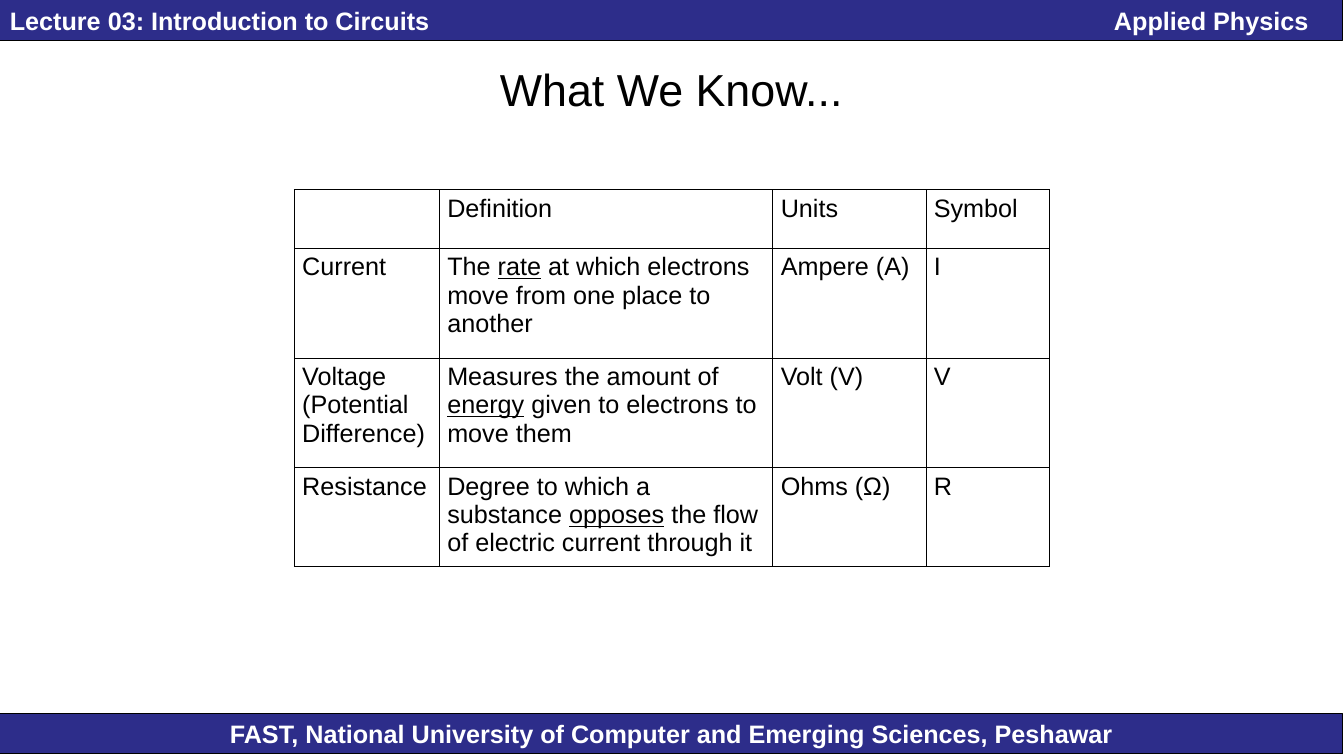
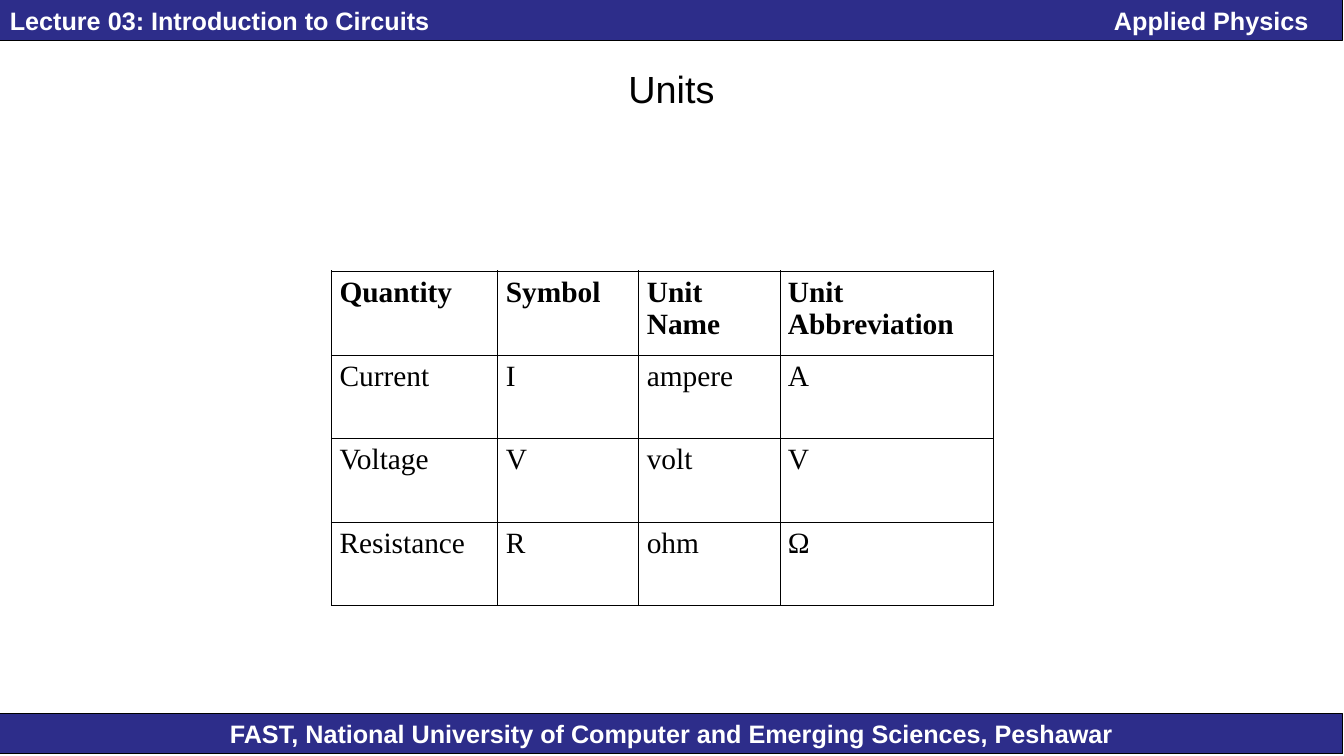
from lxml import etree
from pptx import Presentation
from pptx.dml.color import RGBColor
from pptx.enum import shapes, text
from pptx.oxml import ns
from pptx.util import Inches, Pt

COLORS = {"band": "2D2D8A", "ink": "000000", "paper": "FFFFFF"}
BAND_WIDTH, BAND_HEIGHT = 13.33, 0.4
THIN, THICK = 0.45, 1.08


def add_run(paragraph, words, font_name, size, color, bold=False, underline=False):
    run = paragraph.add_run()
    run.text = words
    run.font.name = font_name
    run.font.size = Pt(size)
    run.font.bold = bold
    run.font.underline = underline
    run.font.color.rgb = RGBColor.from_string(COLORS[color])


def add_border(cell, side, width):
    properties = cell._tc.get_or_add_tcPr()
    line = etree.SubElement(properties, ns.qn(f"a:ln{side}"), w=str(Pt(width)))
    fill = etree.SubElement(line, ns.qn("a:solidFill"))
    etree.SubElement(fill, ns.qn("a:srgbClr"), val=COLORS["ink"])


# Text between underscores is underlined
slide_contents = [
    {
        "title": "What We Know...", "title_size": 32,
        "left": 2.92, "top": 1.88,
        "columns": [1.44, 3.31, 1.52, 1.23], "rows": [0.58, 1.09, 1.09, 0.98],
        "font": "Arial", "size": 18, "bold_header": False, "outline": THIN,
        "cells": [
            ["", "Definition", "Units", "Symbol"],
            ["Current", "The _rate_ at which electrons move from one place to another",
             "Ampere (A)", "I"],
            ["Voltage (Potential Difference)",
             "Measures the amount of _energy_ given to electrons to move them",
             "Volt (V)", "V"],
            ["Resistance",
             "Degree to which a substance _opposes_ the flow of electric current through it",
             "Ohms (Ω)", "R"],
        ],
    },
    {
        "title": "Units", "title_size": 27,
        "left": 3.29, "top": 2.69,
        "columns": [1.65, 1.4, 1.4, 2.12], "rows": [0.83] * 4,
        "font": "Times New Roman", "size": 21, "bold_header": True, "outline": THICK,
        "cells": [
            ["Quantity", "Symbol", "Unit Name", "Unit Abbreviation"],
            ["Current", "I", "ampere", "A"],
            ["Voltage", "V", "volt", "V"],
            ["Resistance", "R", "ohm", "Ω"],
        ],
    },
]

presentation = Presentation()
presentation.slide_width = Inches(13.34)
presentation.slide_height = Inches(7.5)
layout = presentation.slide_layouts.get_by_name("Title Only")

# Shared title position
layout_title = layout.placeholders[0]
layout_title.left, layout_title.top = Inches(0), Inches(0.42)
layout_title.width, layout_title.height = Inches(BAND_WIDTH), Inches(0.92)

slides = [presentation.slides.add_slide(layout) for content in slide_contents]

# Shared bands, drawn on the first slide and moved to the layout
bands = [
    (7.08, text.PP_ALIGN.CENTER,
     ["FAST, National University of Computer and Emerging Sciences, Peshawar"]),
    (0, text.PP_ALIGN.LEFT,
     ["Lecture 03: Introduction to Circuits", "\tApplied Physics"]),
]
for top, alignment, labels in bands:
    band = slides[0].shapes.add_shape(
        shapes.MSO_SHAPE.RECTANGLE, Inches(0), Inches(top),
        Inches(BAND_WIDTH), Inches(BAND_HEIGHT))
    band.shadow.inherit = False
    band.fill.solid()
    band.fill.fore_color.rgb = RGBColor.from_string(COLORS["band"])
    band.line.color.rgb = RGBColor.from_string(COLORS["ink"])
    band.line.width = Pt(0.75)
    band.text_frame.vertical_anchor = text.MSO_ANCHOR.MIDDLE
    paragraph = band.text_frame.paragraphs[0]
    paragraph.alignment = alignment
    if len(labels) > 1:
        tabs = etree.SubElement(paragraph._p.get_or_add_pPr(), ns.qn("a:tabLst"))
        etree.SubElement(tabs, ns.qn("a:tab"), pos=str(Inches(12.89)), algn="r")
    for label in labels:
        add_run(paragraph, label, "Arial", 18, "paper", bold=True)
    layout.shapes._spTree.insert(2, band._element)

for slide, content in zip(slides, slide_contents):
    slide.background.fill.solid()
    slide.background.fill.fore_color.rgb = RGBColor.from_string(COLORS["paper"])

    # Title
    title_frame = slide.shapes.title.text_frame
    title_frame.auto_size = text.MSO_AUTO_SIZE.NONE
    title_frame.vertical_anchor = text.MSO_ANCHOR.MIDDLE
    title_frame.paragraphs[0].alignment = text.PP_ALIGN.CENTER
    add_run(title_frame.paragraphs[0], content["title"], "Arial",
            content["title_size"], "ink")

    # Table grid
    columns, rows = content["columns"], content["rows"]
    table = slide.shapes.add_table(
        len(rows), len(columns), Inches(content["left"]), Inches(content["top"]),
        Inches(sum(columns)), Inches(sum(rows))).table
    table.first_row = table.horz_banding = False
    for column, width in zip(table.columns, columns):
        column.width = Inches(width)
    for row, height in zip(table.rows, rows):
        row.height = Inches(height)

    # Table cells
    for row_index, row_texts in enumerate(content["cells"]):
        for column_index, cell_text in enumerate(row_texts):
            cell = table.cell(row_index, column_index)
            cell.margin_left = cell.margin_right = Inches(0.08)
            outer_sides = {
                "L": column_index == 0, "R": column_index == len(columns) - 1,
                "T": row_index == 0, "B": row_index == len(rows) - 1,
            }
            for side, is_outer in outer_sides.items():
                add_border(cell, side, content["outline"] if is_outer else THIN)
            cell.fill.background()
            if not cell_text:
                continue
            paragraph = cell.text_frame.paragraphs[0]
            for part_index, part in enumerate(cell_text.split("_")):
                add_run(paragraph, part, content["font"], content["size"], "ink",
                        bold=content["bold_header"] and row_index == 0,
                        underline=part_index % 2 == 1)

presentation.save("out.pptx")
